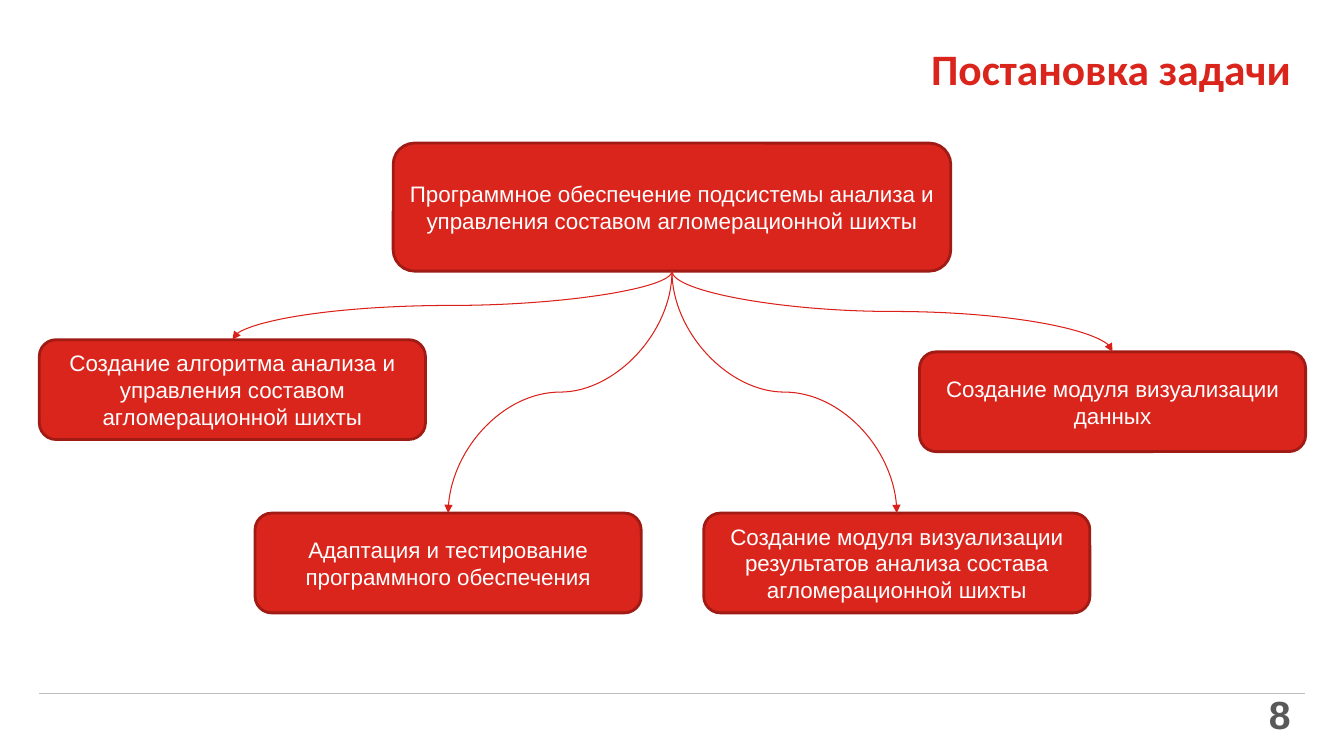
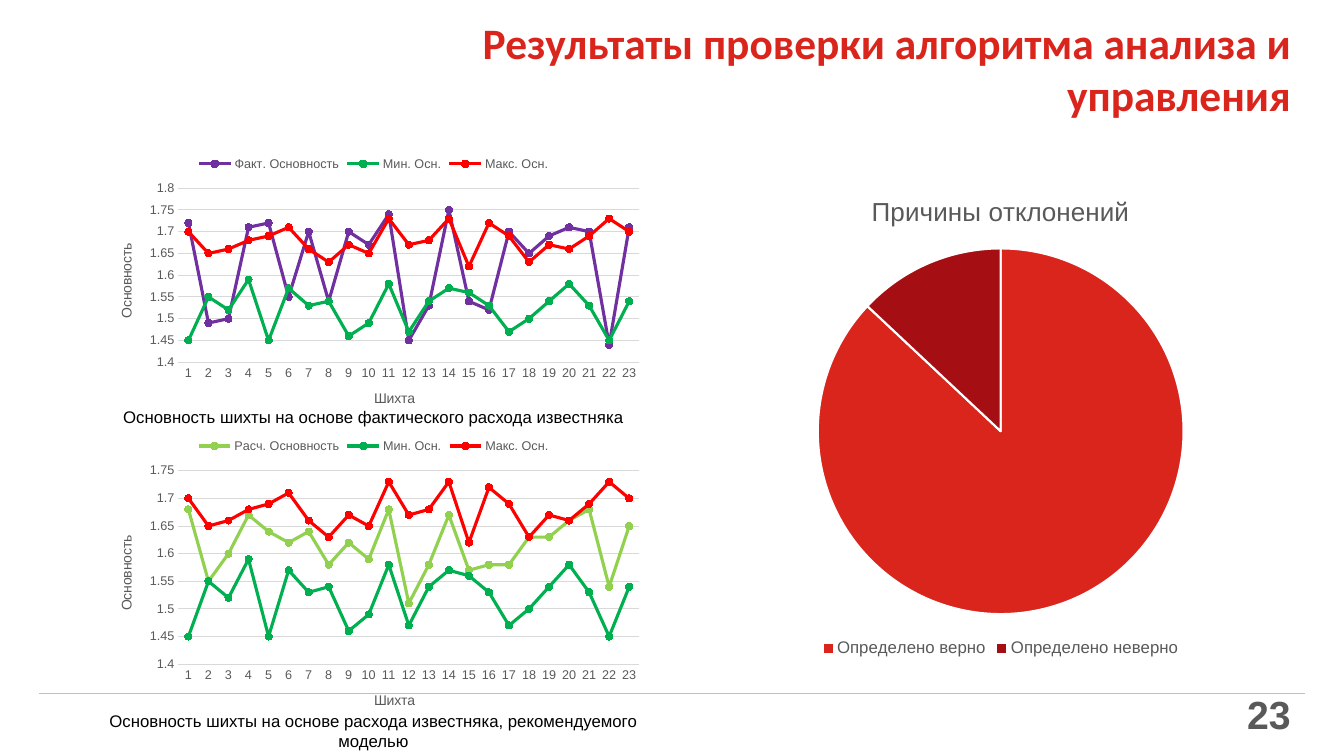
import pptx
import pptx.util
import pptx.chart.data
import pptx.dml.color
import pptx.enum.chart
import pptx.enum.shapes
import pptx.enum.text
import pptx.oxml
import pptx.oxml.ns

Inches, Pt = pptx.util.Inches, pptx.util.Pt
EC, ES, ET = pptx.enum.chart, pptx.enum.shapes, pptx.enum.text
qn = pptx.oxml.ns.qn
NS = pptx.oxml.ns.nsdecls("a", "c")

# Shared style
RED, EDGE, ARROW, DARK = "DA251D", "A11B15", "DA2018", "A50E13"
WHITE, BLACK, GREY, RULE, GRID = "FFFFFF", "000000", "595959", "BFBFBF", "D9D9D9"
PURPLE, LIME, GREEN, BRIGHT = "7030A0", "92D050", "00B050", "FF0000"
LEFT, MID, RIGHT = ET.PP_ALIGN.LEFT, ET.PP_ALIGN.CENTER, ET.PP_ALIGN.RIGHT
PAD = (0.13, 0.06, 0.13, 0.06)

# Task slide: text, left, top, width, height
GOAL = ("Программное обеспечение подсистемы анализа и управления составом агломерационной шихты",
        3.9, 1.42, 5.53, 1.27)
TASKS = [
    ("Создание алгоритма анализа и управления составом агломерационной шихты", 0.39, 3.37),
    ("Создание модуля визуализации данных", 9.12, 3.49),
    ("Адаптация и тестирование программного обеспечения", 2.53, 5.09),
    ("Создание модуля визуализации результатов анализа состава агломерационной шихты", 6.98, 5.09),
]
TASK_W, TASK_H = 3.83, 0.99

# Result slide: name, colour, values
FACT = ("Факт. Основность", PURPLE,
        [1.72, 1.49, 1.5, 1.71, 1.72, 1.55, 1.7, 1.54, 1.7, 1.67, 1.74, 1.45,
         1.53, 1.75, 1.54, 1.52, 1.7, 1.65, 1.69, 1.71, 1.7, 1.44, 1.71])
CALC = ("Расч. Основность", LIME,
        [1.68, 1.55, 1.6, 1.67, 1.64, 1.62, 1.64, 1.58, 1.62, 1.59, 1.68, 1.51,
         1.58, 1.67, 1.57, 1.58, 1.58, 1.63, 1.63, 1.66, 1.68, 1.54, 1.65])
LIMITS = [
    ("Мин. Осн.", GREEN,
     [1.45, 1.55, 1.52, 1.59, 1.45, 1.57, 1.53, 1.54, 1.46, 1.49, 1.58, 1.47,
      1.54, 1.57, 1.56, 1.53, 1.47, 1.5, 1.54, 1.58, 1.53, 1.45, 1.54]),
    ("Макс. Осн.", BRIGHT,
     [1.7, 1.65, 1.66, 1.68, 1.69, 1.71, 1.66, 1.63, 1.67, 1.65, 1.73, 1.67,
      1.68, 1.73, 1.62, 1.72, 1.69, 1.63, 1.67, 1.66, 1.69, 1.73, 1.7]),
]
# Main series, axis top, chart box
TRENDS = [
    (FACT, 1.8, (0.96, 1.44, 5.49, 2.8)),
    (CALC, 1.75, (0.96, 4.24, 5.49, 3)),
]
NOTES = [
    ("Основность шихты на основе расхода известняка, рекомендуемого моделью",
     (0.75, 7, 5.91, 0.5)),
    ("Основность шихты на основе фактического расхода известняка",
     (0.57, 3.99, 6.27, 0.3)),
]
CAUSES = [("Определено верно", 87, RED), ("Определено неверно", 13, DARK)]


def rgb(code):
    return pptx.dml.color.RGBColor.from_string(code)


def inch(*vals):
    return [Inches(v) for v in vals]


def style(font, size, color=GREY, bold=False, name="Arial"):
    font.name, font.size, font.bold = name, Pt(size), bold
    font.color.rgb = rgb(color)


def write(frame, text, align=LEFT, anchor=None, pad=None, **look):
    frame.word_wrap = True
    frame.auto_size = ET.MSO_AUTO_SIZE.NONE
    if anchor:
        frame.vertical_anchor = anchor
    if pad:
        (frame.margin_left, frame.margin_top,
         frame.margin_right, frame.margin_bottom) = inch(*pad)
    par = frame.paragraphs[0]
    par.alignment = align
    run = par.add_run()
    run.text = text
    style(run.font, **look)


def label(slide, text, box, **look):
    write(slide.shapes.add_textbox(*inch(*box)).text_frame, text, **look)


def stroke(line, color, width):
    line.color.rgb, line.width = rgb(color), Pt(width)


def link(slide, kind, ends, color):
    wire = slide.shapes.add_connector(kind, *ends)
    stroke(wire.line, color, 0.75)
    wire._element.spPr.append(pptx.oxml.parse_xml(f"<a:effectLst {NS}/>"))
    return wire


def start(deck, title):
    slide = deck.slides.add_slide(deck.slide_layouts[5])
    link(slide, ES.MSO_CONNECTOR.STRAIGHT, inch(0.39, 6.88, 12.94, 6.88), RULE)
    head = slide.shapes.title
    head.left, head.top, head.width, head.height = inch(2.84, 0.35, 10.09, 0.65)
    write(head.text_frame, title, align=RIGHT, anchor=ET.MSO_ANCHOR.MIDDLE,
          pad=PAD, size=31, color=RED, bold=True, name="Calibri")
    return slide


def number(slide, text):
    label(slide, text, (12.11, 6.88, 0.82, 0.4), align=RIGHT,
          anchor=ET.MSO_ANCHOR.MIDDLE, pad=PAD, size=28, bold=True)


# Task tree
def card(slide, text, *box):
    shape = slide.shapes.add_shape(ES.MSO_SHAPE.ROUNDED_RECTANGLE, *inch(*box))
    shape.shadow.inherit = False
    shape.fill.solid()
    shape.fill.fore_color.rgb = rgb(RED)
    stroke(shape.line, EDGE, 2)
    write(shape.text_frame, text, align=MID, anchor=ET.MSO_ANCHOR.MIDDLE,
          size=16, color=WHITE)
    return shape


def branch(slide, top, low):
    x1, y1 = top.left + top.width // 2, top.top + top.height
    x2, y2 = low.left + low.width // 2, low.top
    wire = link(slide, ES.MSO_CONNECTOR.CURVE, (x1, y1, x2, y2), ARROW)
    wire.begin_connect(top, 2)
    wire.end_connect(low, 0)
    # A quarter turn makes the curve leave downwards
    wire.width, wire.height = y2 - y1, abs(x2 - x1)
    wire.left = (x1 + x2 - wire.width) // 2
    wire.top = (y1 + y2 - wire.height) // 2
    right = x2 > x1
    frame = wire._element.spPr.find(qn("a:xfrm"))
    frame.set("rot", str((270 if right else 90) * 60000))
    frame.set("flipH", "1" if right else "0")
    wire.line._get_or_add_ln().append(
        pptx.oxml.parse_xml(f'<a:tailEnd {NS} type="triangle"/>'))


# Charts
def plot(slide, kind, box, cats, rows, place, size):
    data = pptx.chart.data.CategoryChartData()
    data.categories = cats
    for name, vals in rows:
        data.add_series(name, vals)
    chart = slide.shapes.add_chart(kind, *inch(*box), data).chart
    style(chart.font, 10, BLACK)
    chart.has_legend = True
    chart.legend.position = place
    chart.legend.include_in_layout = False
    style(chart.legend.font, size)
    chart._chartSpace.find(qn("c:chart")).addnext(pptx.oxml.parse_xml(
        f"<c:spPr {NS}><a:noFill/><a:ln><a:noFill/></a:ln></c:spPr>"))
    return chart


def name_axis(axis, text):
    axis.has_title = True
    write_title(axis.axis_title.text_frame, text, 10)
    axis.major_tick_mark = axis.minor_tick_mark = EC.XL_TICK_MARK.NONE
    style(axis.tick_labels.font, 9)


def write_title(frame, text, size):
    run = frame.paragraphs[0].add_run()
    run.text = text
    style(run.font, size)


def trend(slide, main, peak, box):
    rows = [main, *LIMITS]
    cats = [str(n + 1) for n in range(len(main[2]))]
    chart = plot(slide, EC.XL_CHART_TYPE.LINE_MARKERS, box, cats,
                 [(name, vals) for name, _, vals in rows],
                 EC.XL_LEGEND_POSITION.TOP, 9)
    chart.has_title = False
    cat, val = chart.category_axis, chart.value_axis
    name_axis(cat, "Шихта")
    name_axis(val, "Основность")
    stroke(cat.format.line, GRID, 0.75)
    val.format.line.fill.background()
    stroke(val.major_gridlines.format.line, GRID, 0.75)
    val.minimum_scale, val.maximum_scale, val.major_unit = 1.4, peak, 0.05
    val.tick_labels.number_format = "General"
    val.tick_labels.number_format_is_linked = False
    for series, (_, color, _) in zip(chart.plots[0].series, rows):
        series.smooth = False
        stroke(series.format.line, color, 2.25)
        mark = series.marker
        mark.style, mark.size = EC.XL_MARKER_STYLE.CIRCLE, 5
        mark.format.fill.solid()
        mark.format.fill.fore_color.rgb = rgb(color)
        stroke(mark.format.line, color, 0.75)


def pie(slide):
    chart = plot(slide, EC.XL_CHART_TYPE.PIE, (6.84, 1.73, 6.17, 4.83),
                 [c[0] for c in CAUSES], [("Причины", [c[1] for c in CAUSES])],
                 EC.XL_LEGEND_POSITION.BOTTOM, 12)
    chart.has_title = True
    write_title(chart.chart_title.text_frame, "Причины отклонений", 18.6)
    chart.chart_title.include_in_layout = False
    chart.plots[0].vary_by_categories = True
    for i, (_, _, color) in enumerate(CAUSES):
        part = chart.plots[0].series[0].points[i].format
        part.fill.solid()
        part.fill.fore_color.rgb = rgb(color)
        stroke(part.line, WHITE, 1.5)


def main():
    deck = pptx.Presentation()
    deck.slide_width, deck.slide_height = inch(13.33, 7.5)

    slide = start(deck, "Постановка задачи")
    goal = card(slide, *GOAL)
    tasks = [card(slide, *task, TASK_W, TASK_H) for task in TASKS]
    for task in tasks:
        branch(slide, goal, task)
    number(slide, "8")

    slide = start(deck, "Результаты проверки алгоритма анализа и управления")
    for item in TRENDS:
        trend(slide, *item)
    for text, box in NOTES:
        label(slide, text, box, align=MID, size=12, color=BLACK)
    number(slide, "23")
    pie(slide)

    deck.save("out.pptx")


if __name__ == "__main__":
    main()
